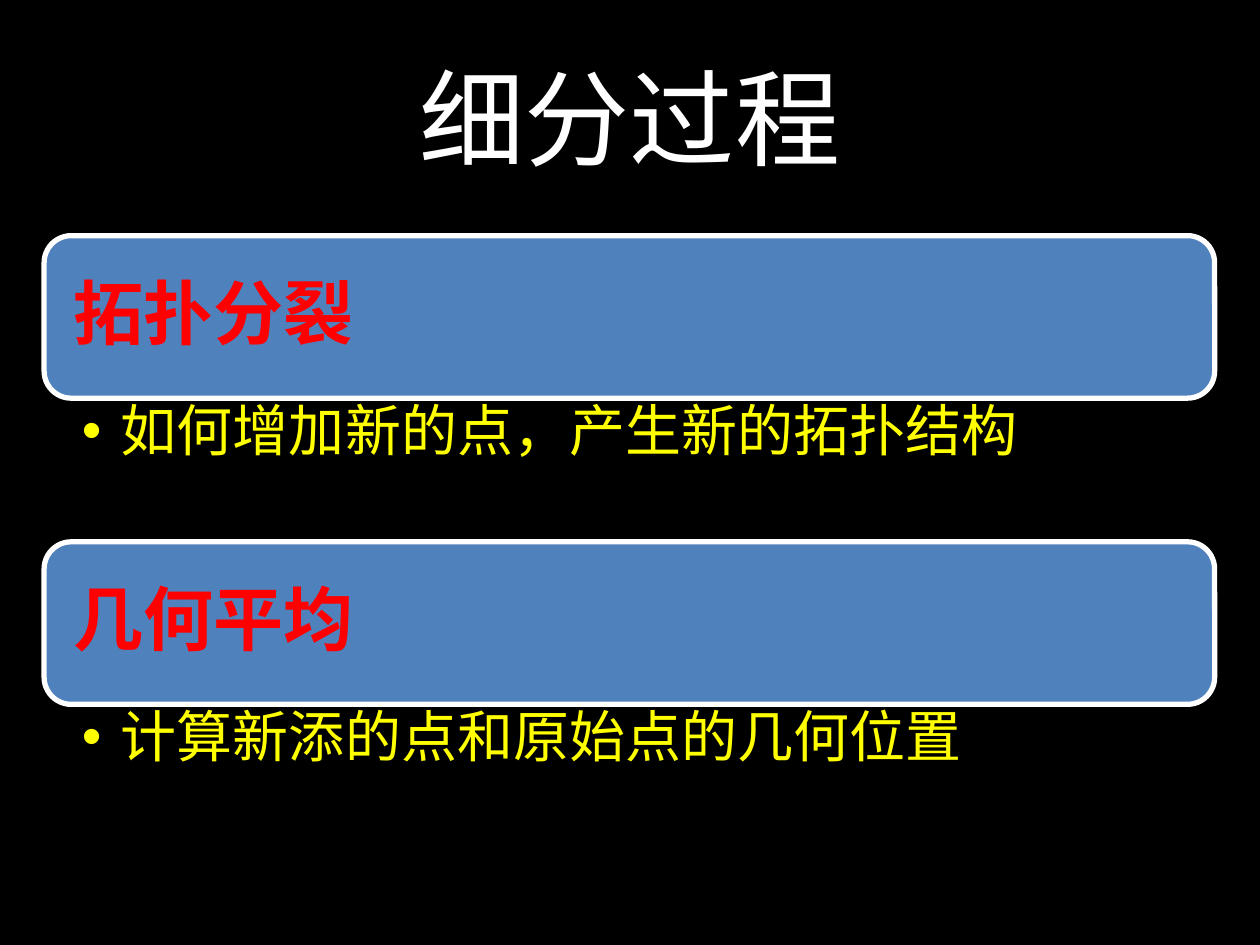
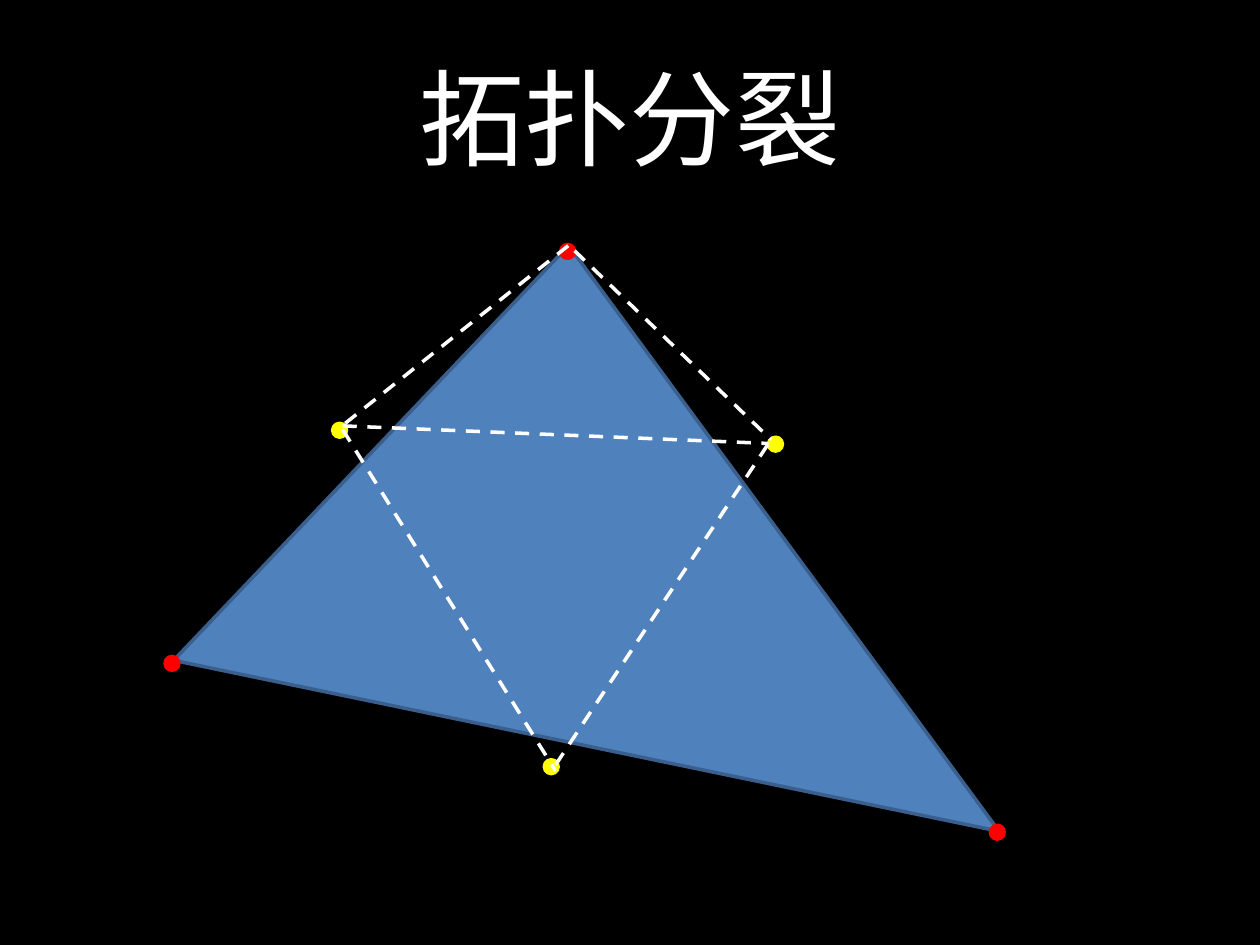
from lxml.etree import SubElement
from pptx import Presentation
from pptx.dml.color import RGBColor
from pptx.enum.dml import MSO_LINE
from pptx.enum.shapes import MSO_CONNECTOR, MSO_SHAPE
from pptx.enum.text import MSO_ANCHOR, PP_ALIGN
from pptx.oxml.ns import qn
from pptx.util import Inches, Pt

FONT = "Noto Sans CJK SC"
HUES = {"back": "000000", "white": "FFFFFF", "blue": "4F81BD",
        "edge": "3A5F8C", "red": "FF0000", "yellow": "FFFF00"}
TITLES = ["细分过程", "拓扑分裂"]
STEPS = [("拓扑分裂", "如何增加新的点，产生新的拓扑结构"),
         ("几何平均", "计算新添的点和原始点的几何位置")]
LEFT, TOP, WIDE = 0.35, 1.87, 9.29
BAR, NOTE = 1.29, 1.14
FACE = (1.7, 2.1, 6.69, 3.86)
TILT, APEX = 11.7, 0.359
DOT = 0.11
DOTS = {"red": [(4.45, 1.94), (7.86, 6.55), (1.31, 5.21)],
        "yellow": [(2.64, 3.36), (6.1, 3.47), (4.32, 6.03)]}
EDGES = [((4.56, 1.99), (6.12, 3.49)), ((2.74, 3.36), (4.51, 1.95)),
         ((2.72, 3.38), (6.1, 3.52)), ((2.72, 3.41), (4.41, 6.12)),
         ((4.41, 6.07), (6.1, 3.52))]


def hue(name):
    return RGBColor.from_string(HUES[name])


def write(shape, text, size, color, pads, anchor=MSO_ANCHOR.MIDDLE,
          align=PP_ALIGN.LEFT, bold=False):
    frame = shape.text_frame
    frame.word_wrap = True
    frame.vertical_anchor = anchor
    (frame.margin_left, frame.margin_top,
     frame.margin_right, frame.margin_bottom) = map(Inches, pads)
    frame.text = text
    para = frame.paragraphs[0]
    para.alignment = align
    font = para.runs[0].font
    font.size, font.bold, font.name = Pt(size), bold, FONT
    font.color.rgb = hue(color)
    props = para.runs[0]._r.get_or_add_rPr()
    east = SubElement(props, qn("a:ea"), typeface=FONT)
    props.find(qn("a:latin")).addnext(east)
    return para


def bullet(para):
    props = para._p.get_or_add_pPr()
    props.set("marL", str(Inches(0.31)))
    props.set("indent", str(Inches(-0.31)))
    SubElement(props, qn("a:buFont"), typeface="Arial")
    SubElement(props, qn("a:buChar"), char="•")


def draw(slide, kind, box, fill, line, width=2):
    shape = slide.shapes.add_shape(kind, *map(Inches, box))
    shape.shadow.inherit = False
    shape.fill.solid()
    shape.fill.fore_color.rgb = hue(fill)
    shape.line.color.rgb = hue(line)
    shape.line.width = Pt(width)
    return shape


def label(slide, box):
    return slide.shapes.add_textbox(*map(Inches, box))


def dash(slide, start, end):
    line = slide.shapes.add_connector(
        MSO_CONNECTOR.STRAIGHT, *map(Inches, start + end))
    line.line.color.rgb = hue("white")
    line.line.width = Pt(2)
    line.line.dash_style = MSO_LINE.DASH
    SubElement(line._element.spPr, qn("a:effectLst"))


def start(deck, title):
    slide = deck.slides.add_slide(deck.slide_layouts[6])
    slide.background.fill.solid()
    slide.background.fill.fore_color.rgb = hue("back")
    write(label(slide, (0.5, 0.3, 9, 1.25)), title, 60, "white",
          (0.1, 0.05, 0.1, 0.05), align=PP_ALIGN.CENTER)
    return slide


def steps(slide):
    for row, (head, note) in enumerate(STEPS):
        top = TOP + row * (BAR + NOTE)
        bar = draw(slide, MSO_SHAPE.ROUNDED_RECTANGLE,
                   (LEFT, top, WIDE, BAR), "blue", "white", 3)
        para = write(bar, head, 40, "red", [0.17] * 4, bold=True)
        para.line_spacing = 0.9
        para = write(label(slide, (LEFT, top + BAR, WIDE, NOTE)), note, 32,
                     "yellow", (0.3, 0.04, 0.25, 0.04), MSO_ANCHOR.TOP)
        para.line_spacing = 0.9
        bullet(para)


def split(slide):
    face = draw(slide, MSO_SHAPE.ISOSCELES_TRIANGLE, FACE, "blue", "edge")
    face.adjustments[0] = APEX
    face.rotation = TILT
    for color, spots in DOTS.items():
        for spot in spots:
            draw(slide, MSO_SHAPE.FLOWCHART_CONNECTOR,
                 spot + (DOT, DOT), color, color)
    for ends in EDGES:
        dash(slide, *ends)


def main():
    deck = Presentation()
    deck.slide_width, deck.slide_height = Inches(10), Inches(7.5)
    for title, fill in zip(TITLES, (steps, split)):
        fill(start(deck, title))
    deck.save("out.pptx")


if __name__ == "__main__":
    main()
